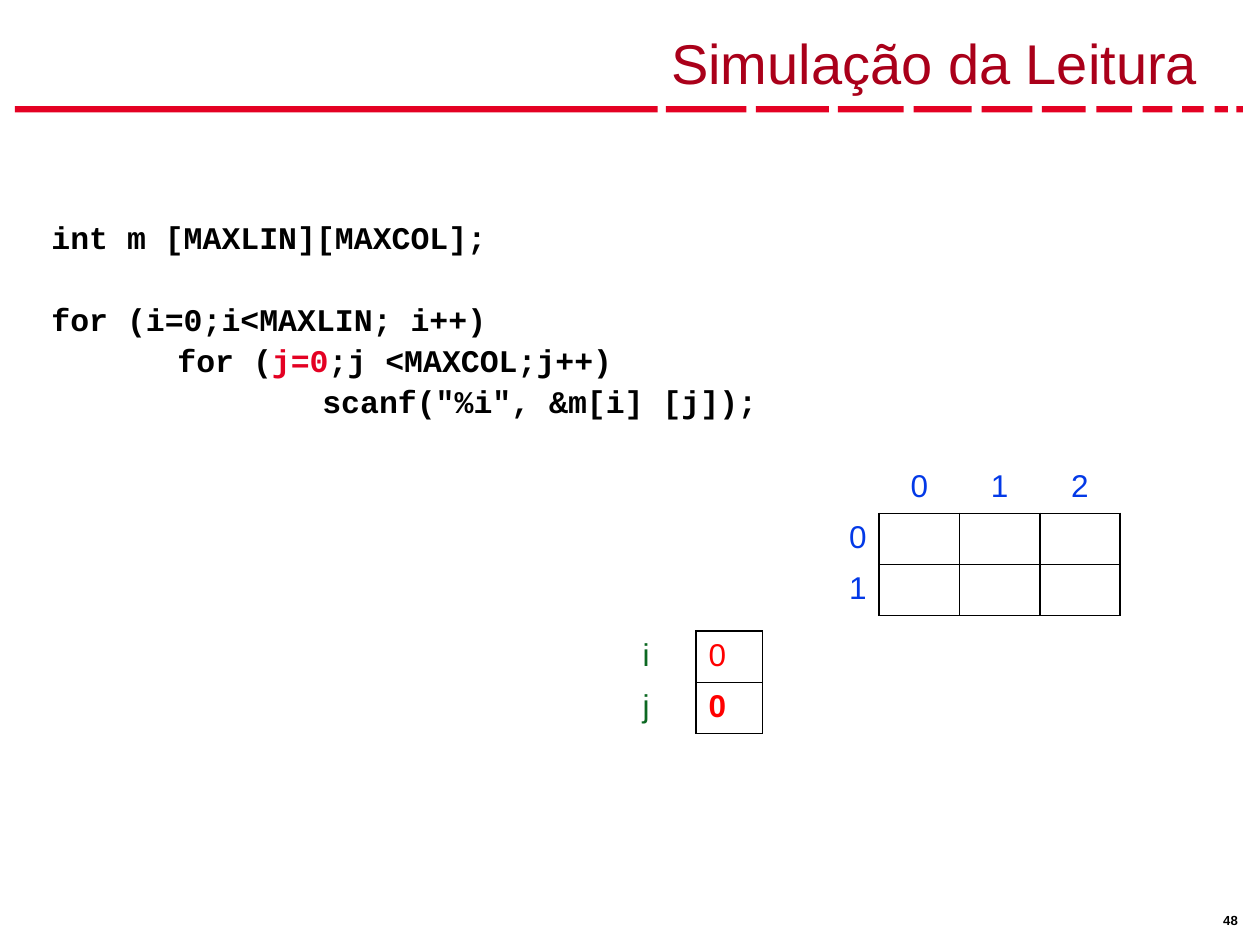
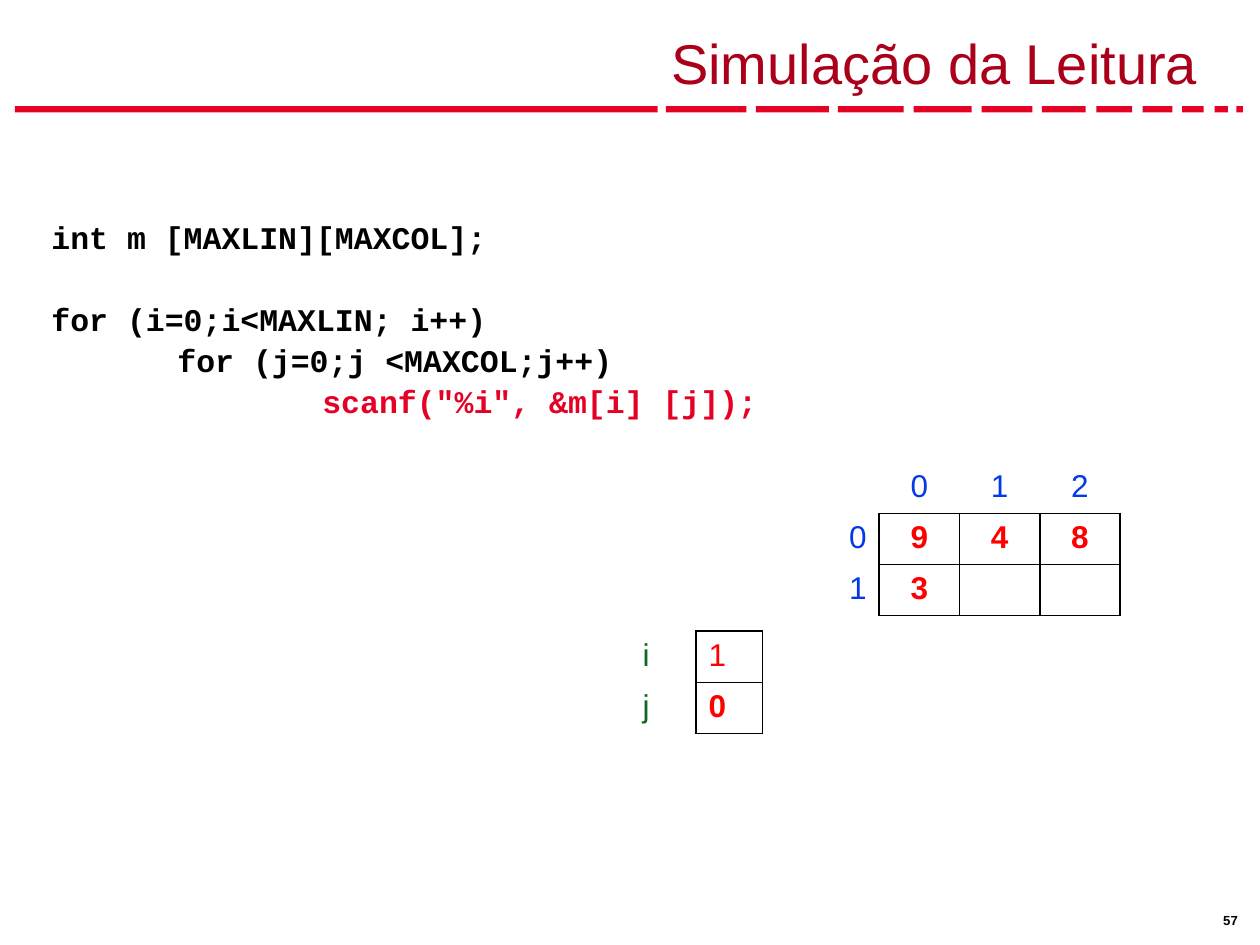
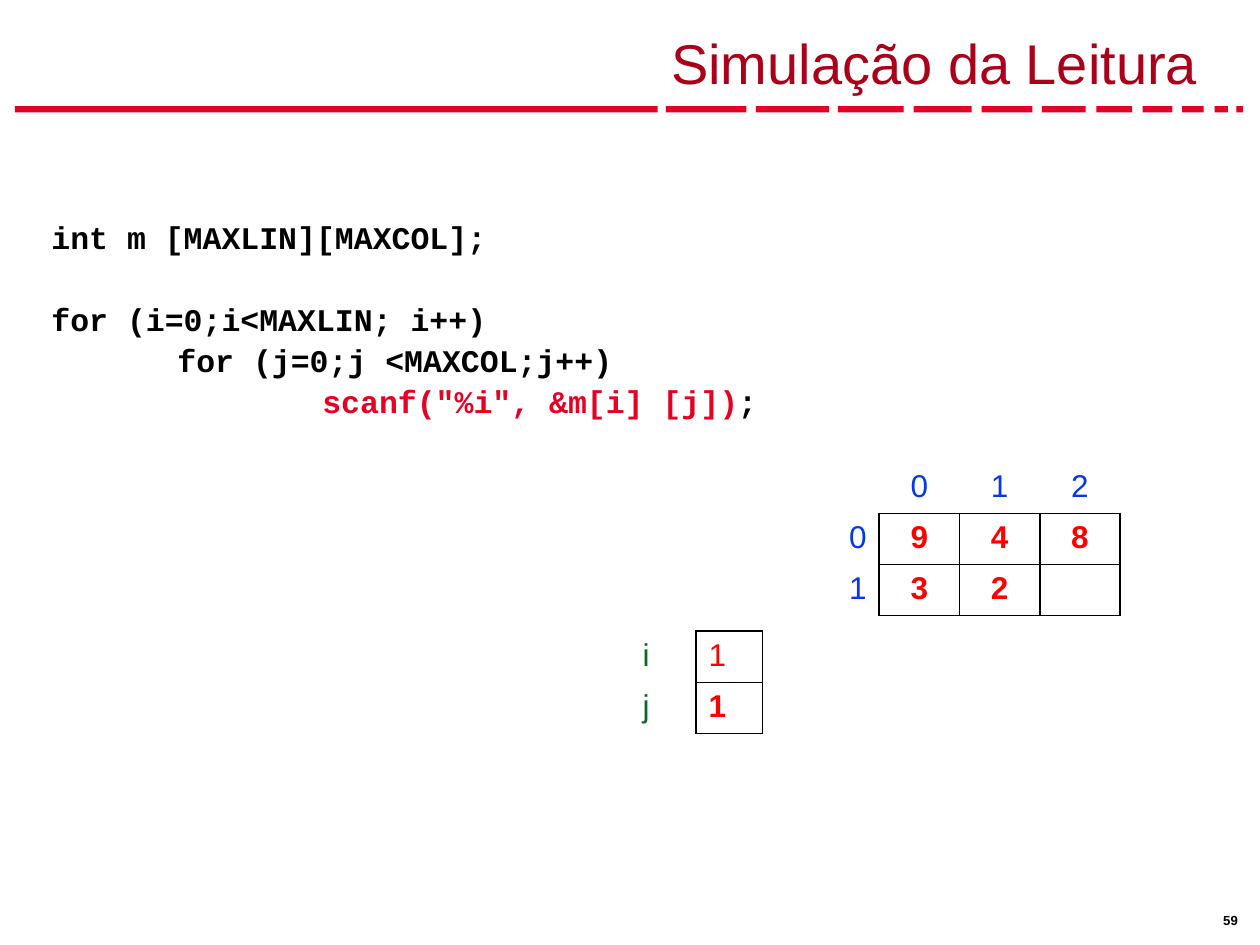
"""Build three slides that trace how a matrix is read in C."""
from pptx import Presentation as Deck
from pptx.util import Pt
from pptx.dml.color import RGBColor
from pptx.enum.shapes import MSO_SHAPE as Kind
from pptx.enum.text import PP_ALIGN as Align, MSO_ANCHOR as Anchor
from pptx.oxml import parse_xml
from pptx.oxml.ns import nsdecls

BLACK, WHITE, RED, HOT = "000000", "FFFFFF", "E40123", "FF0000"
WINE, BLUE, GREEN = "AA001A", "0339E7", "0C6822"
LINE = 23.33
ROW = 29.2
BARS = [(8.6, 367.2), (380.5, 46), (431.9, 41.8), (478.8, 37.6),
        (522, 33.2), (560.9, 29), (595.4, 25), (626.5, 20.4),
        (653, 17), (675.5, 12.4), (694.1, 7.6), (706.5, 3.8)]


def color(code):
    return RGBColor.from_string(code)


def write(para, text, size, ink, bold=False, face="Arial"):
    run = para.add_run()
    run.text = text
    font = run.font
    font.name, font.size, font.bold = face, Pt(size), bold
    font.color.rgb = color(ink)


START = (0, 0, [("int m [MAXLIN][MAXCOL];", BLACK)])
OUTER = (0, LINE, [("for (i=0;i<MAXLIN; i++)", BLACK)])
INNER = [("for (j=0;j <MAXCOL;j++)", BLACK)]
SCAN = 'scanf("%i", &m[i] [j])'

steps = [
    ("48", [("for (", BLACK), ("j=0", RED), (";j <MAXCOL;j++)", BLACK)],
     [(SCAN + ";", BLACK)], ["", "", ""], ["", "", ""], "0", "0"),
    ("57", INNER, [(SCAN + ";", RED)],
     ["9", "4", "8"], ["3", "", ""], "1", "0"),
    ("59", INNER, [(SCAN, RED), (";", BLACK)],
     ["9", "4", "8"], ["3", "2", ""], "1", "1"),
]

deck = Deck()
deck.slide_width, deck.slide_height = Pt(720), Pt(540)

for page, inner, scan, top, low, i, j in steps:
    slide = deck.slides.add_slide(deck.slide_layouts[6])
    shapes = slide.shapes

    band = shapes.add_group_shape()
    for left, width in BARS:
        bar = band.shapes.add_shape(
            Kind.RECTANGLE, Pt(left), Pt(60.6), Pt(width), Pt(3.6))
        bar.shadow.inherit = False
        bar.fill.solid()
        bar.fill.fore_color.rgb = color(RED)
        bar.line.fill.background()

    foot = shapes.add_textbox(Pt(693.4), Pt(518.4), Pt(23.8), Pt(14.4)).text_frame
    foot.margin_left = foot.margin_right = Pt(5.6)
    foot.margin_top = foot.margin_bottom = Pt(2.8)
    write(foot.paragraphs[0], page, 7.5, BLACK, True)

    grids = [
        (456.5, 264.2, 45.9, 1, BLUE, [Align.RIGHT] + [Align.CENTER] * 3,
         [["", "0", "1", "2"], ["0"] + top, ["1"] + low]),
        (360, 360.7, 37.8, 0, GREEN, [Align.LEFT] * 2, [["i", i], ["j", j]]),
    ]
    for left, head, width, first, ink, aligns, rows in grids:
        count = len(aligns)
        table = shapes.add_table(
            len(rows), count, Pt(left), Pt(head),
            Pt(width * count), Pt(ROW * len(rows))).table
        table.first_row = table.horz_banding = False
        for col in table.columns:
            col.width = Pt(width)
        for r, row in enumerate(rows):
            table.rows[r].height = Pt(ROW)
            for c, text in enumerate(row):
                cell = table.cell(r, c)
                data = r >= first and c > 0
                para = cell.text_frame.paragraphs[0]
                para.alignment = aligns[c]
                if text:
                    bold = data and (first == 1 or r == 1)
                    write(para, text, 18, HOT if data else ink, bold)
                else:
                    para.font.size = Pt(18)
                cell.margin_left = cell.margin_right = Pt(7.2)
                cell.margin_top = cell.margin_bottom = Pt(3.6)
                props = cell._tc.get_or_add_tcPr()
                edges = {"L": data, "R": r >= first, "T": data, "B": c > 0}
                for side, drawn in edges.items():
                    fill = (f'<a:solidFill><a:srgbClr val="{BLACK}"/></a:solidFill>'
                            if drawn else "<a:noFill/>")
                    props.append(parse_xml(
                        f'<a:ln{side} {nsdecls("a")} w="12700">{fill}</a:ln{side}>'))
                cell.fill.solid()
                cell.fill.fore_color.rgb = color(WHITE)

    title = shapes.add_textbox(Pt(22.3), Pt(5.8), Pt(678.2), Pt(52.6)).text_frame
    title.word_wrap = True
    title.vertical_anchor = Anchor.BOTTOM
    para = title.paragraphs[0]
    para.alignment = Align.RIGHT
    write(para, "Simulação da Leitura ", 32, WINE)

    code = shapes.add_textbox(Pt(22.3), Pt(72.7), Pt(452.2), Pt(195)).text_frame
    code.word_wrap = True
    code.margin_top = Pt(3.6 + 2 * LINE)
    lines = [START, OUTER, (72, 0, inner), (154.8, 0, scan)]
    for n, (indent, gap, parts) in enumerate(lines):
        para = code.add_paragraph() if n else code.paragraphs[0]
        para.line_spacing, para.space_before = Pt(LINE), Pt(gap)
        para._p.get_or_add_pPr().set("marL", str(Pt(indent)))
        for text, ink in parts:
            write(para, text, 18, ink, True, "Courier New")

deck.save("out.pptx")
